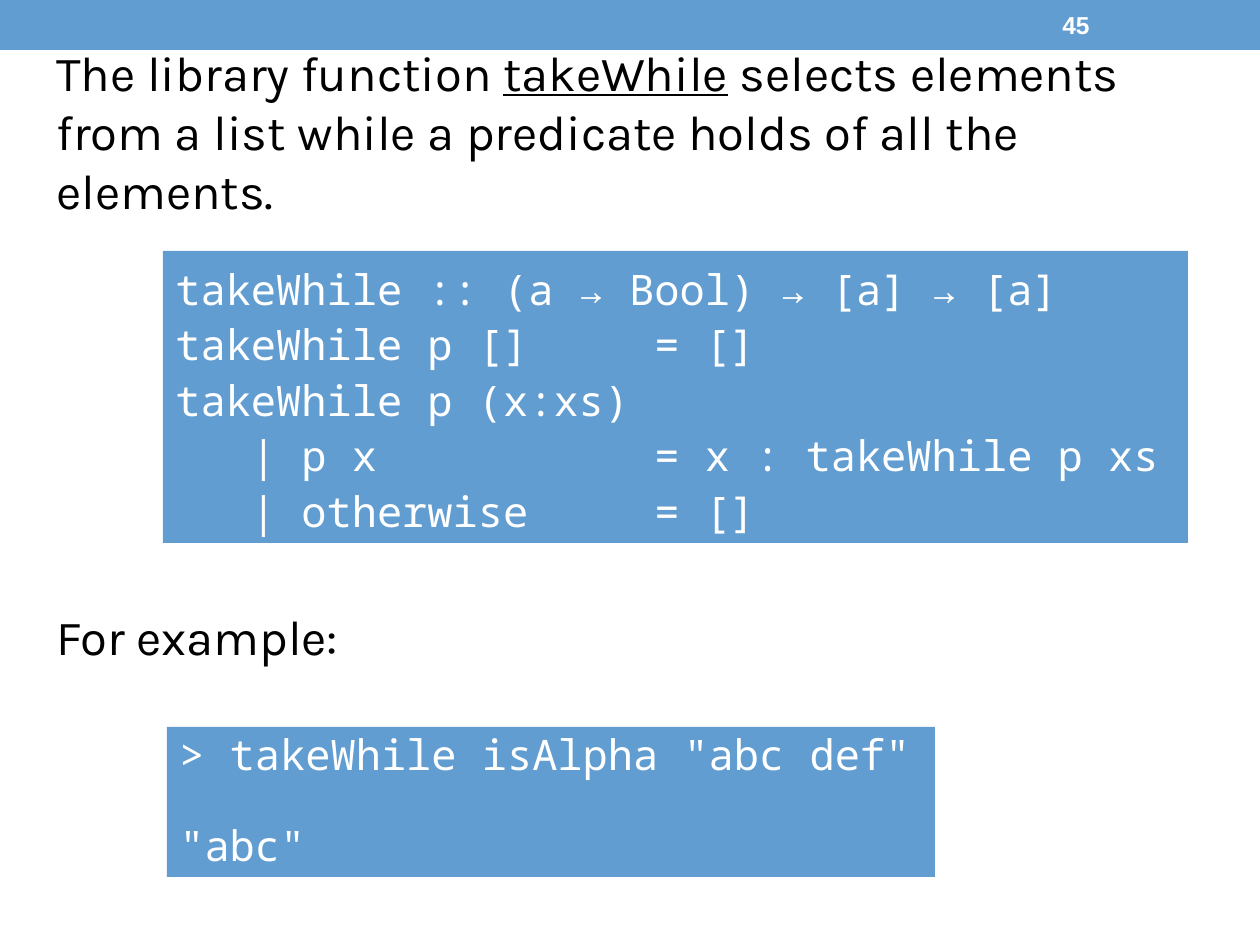
from pptx import Presentation
from pptx.dml.color import RGBColor
from pptx.enum.shapes import MSO_SHAPE
from pptx.enum.text import MSO_ANCHOR, PP_ALIGN
from pptx.util import Pt

RECTANGLE = MSO_SHAPE.RECTANGLE
MIDDLE = MSO_ANCHOR.MIDDLE
LEFT = PP_ALIGN.LEFT

PX = 914400 // 126
BLUE = RGBColor(0x62, 0x9D, 0xD1)
WHITE = RGBColor(0xFF, 0xFF, 0xFF)
BLACK = RGBColor(0x00, 0x00, 0x00)

DEFINITION = [
    "takeWhile :: (a → Bool) → [a] → [a]",
    "takeWhile p []     = []",
    "takeWhile p (x:xs)",
    "   | p x           = x : takeWhile p xs",
    "   | otherwise     = []",
]
SESSION = ['> takeWhile isAlpha "abc def"', '"abc"']


def emu(box):
    return [length * PX for length in box]


def set_font(paragraph, name, size, color, bold=False):
    font = paragraph.font
    font.name = name
    font.size = Pt(size)
    font.color.rgb = color
    font.bold = bold


def add_panel(slide, box):
    panel = slide.shapes.add_shape(RECTANGLE, *emu(box))
    panel.shadow.inherit = False
    panel.fill.solid()
    panel.fill.fore_color.rgb = BLUE
    panel.line.fill.background()
    return panel


def add_label(slide, box):
    frame = slide.shapes.add_textbox(*emu(box)).text_frame
    frame.word_wrap = True
    frame.vertical_anchor = MIDDLE
    return frame.paragraphs[0]


def add_header(slide, box, number):
    left, top, width, height = box
    add_panel(slide, box)
    page = add_label(slide, (left + 1050, top + 2, 147, height - 4))
    page.text = number
    set_font(page, "Arial", 14, WHITE, bold=True)


def add_statement(slide, box, parts):
    statement = add_label(slide, box)
    for text, underlined in parts:
        run = statement.add_run()
        run.text = text
        if underlined:
            run.font.underline = True
    set_font(statement, "Karla", 28, BLACK)


def add_code(slide, box, lines, line_spacing, gap=0):
    frame = add_panel(slide, box).text_frame
    frame.word_wrap = True
    frame.vertical_anchor = MIDDLE
    for index, line in enumerate(lines):
        row = frame.add_paragraph() if index else frame.paragraphs[0]
        row.text = line
        row.alignment = LEFT
        row.line_spacing = line_spacing
        if index and gap:
            row.space_before = Pt(gap)
        set_font(row, "Noto Sans Mono", 24, WHITE)


def main():
    deck = Presentation()
    deck.slide_width, deck.slide_height = emu((1260, 945))
    slide = deck.slides.add_slide(deck.slide_layouts[6])
    add_header(slide, (0, 0, 1260, 50), "45")
    add_statement(slide, (44, 66, 1167, 130), [
        ("The library function ", False),
        ("takeWhile", True),
        (" selects elements from a list while a predicate holds of all the elements.", False),
    ])
    add_code(slide, (163, 251, 1025, 292), DEFINITION, 1.1)
    add_statement(slide, (44, 600, 1145, 72), [("For example:", False)])
    add_code(slide, (167, 727, 768, 150), SESSION, 0.9, gap=26)
    deck.save("out.pptx")


if __name__ == "__main__":
    main()
